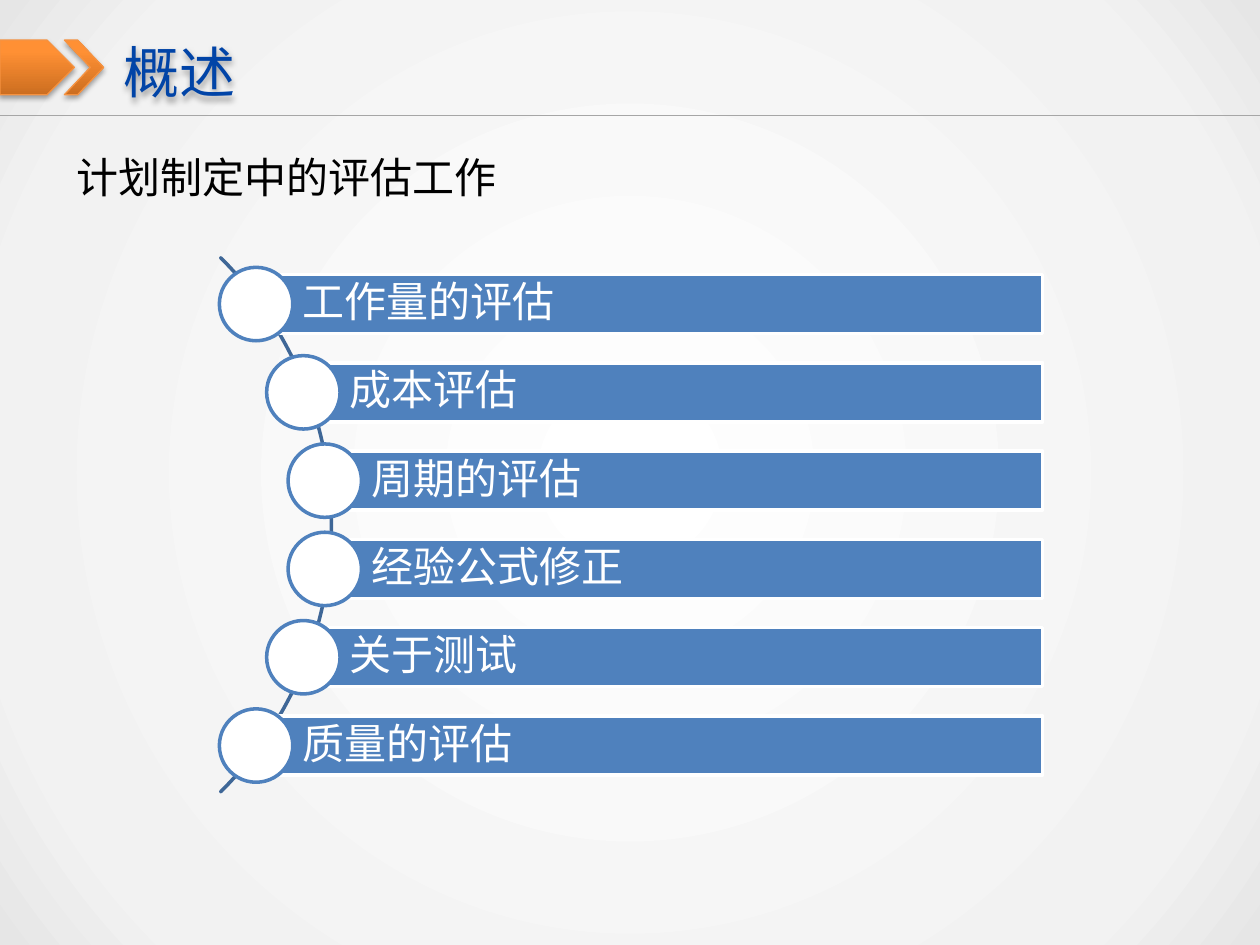
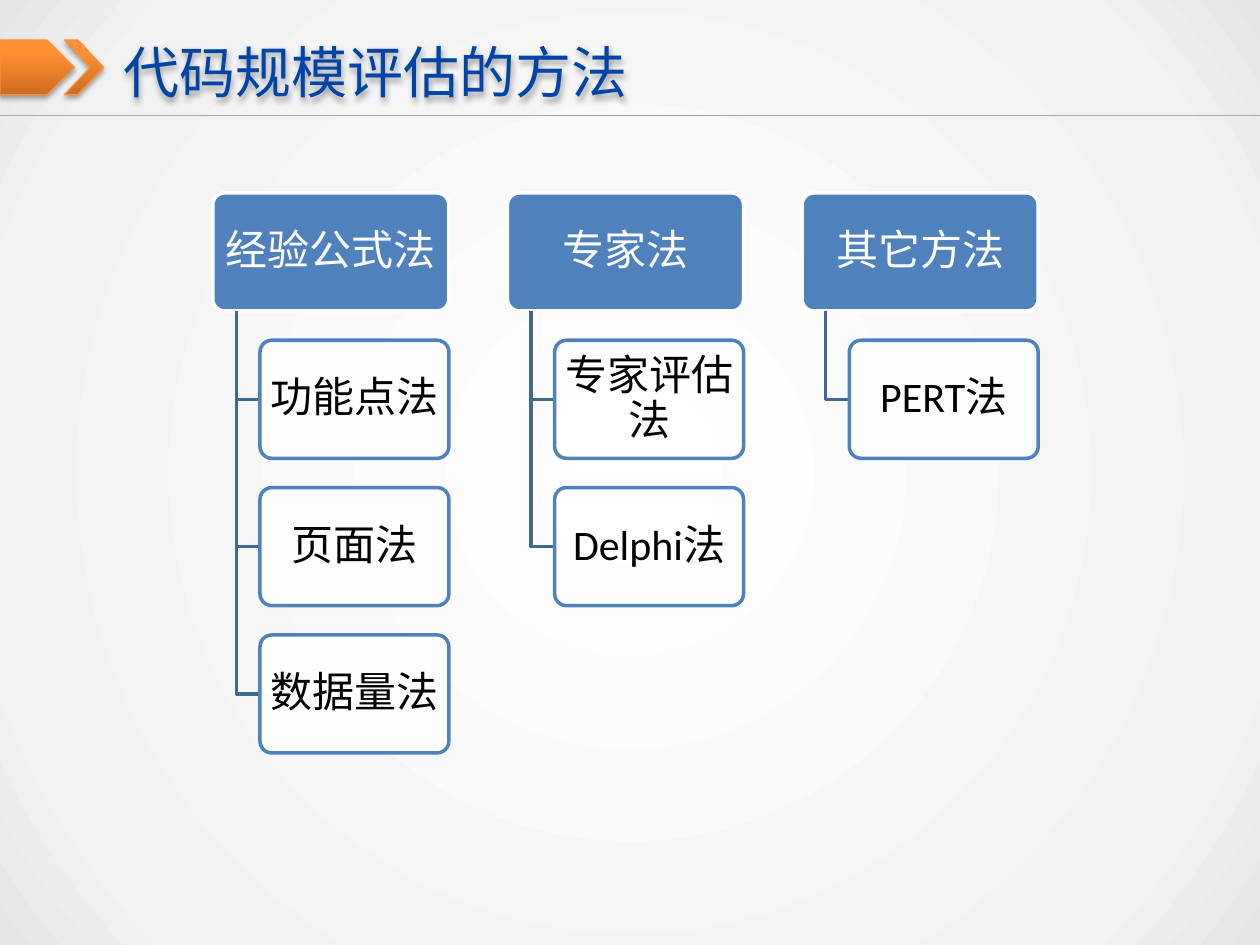
from dataclasses import dataclass
from math import sqrt

from pptx import Presentation
from pptx.dml.color import RGBColor as Rgb
from pptx.enum.shapes import MSO_CONNECTOR as Conn, MSO_SHAPE as Kind
from pptx.enum.text import MSO_ANCHOR as Anchor, PP_ALIGN as Align
from pptx.oxml import parse_xml
from pptx.oxml.ns import nsdecls, qn
from pptx.util import Cm, Pt

# Content
TASKS = {
    "title": "概述",
    "lead": "计划制定中的评估工作",
    "items": ["工作量的评估", "成本评估", "周期的评估",
              "经验公式修正", "关于测试", "质量的评估"],
}
METHODS = {
    "title": "代码规模评估的方法",
    "groups": [
        ("经验公式法", ["功能点法", "页面法", "数据量法"]),
        ("专家法", ["专家评估法", "Delphi法"]),
        ("其它方法", ["PERT法"]),
    ],
}


@dataclass(frozen=True)
class Theme:
    title: str = "0144A7"
    blue: str = "4F81BD"
    deep: str = "3F6797"
    orange: str = "F69240"
    rule: str = "A6A6A6"
    white: str = "FFFFFF"
    black: str = "000000"
    band: tuple = ((0, "CC6E20"), (80, "FF9034"), (100, "FF9136"))
    back: tuple = ((0, "FFFFFF"), (82, "F2F2F2"), (100, "E6E6E6"))
    han: str = "Noto Sans CJK SC"
    latin: str = "Calibri"
    big: int = 32
    body: int = 24
    thin: float = 0.75
    thick: float = 2


T = Theme()
UP = '<a:lin ang="16200000" scaled="0"/>'
ROUND = ('<a:path path="circle"><a:fillToRect l="50000" t="50000" '
         'r="50000" b="50000"/></a:path>')


# Helpers
def blend(host, stops, way):
    """Swap the solid fill inside host for a gradient."""
    marks = "".join(f'<a:gs pos="{pos * 1000}"><a:srgbClr val="{tint}"/></a:gs>'
                    for pos, tint in stops)
    host.replace(host.find(qn("a:solidFill")), parse_xml(
        f'<a:gradFill {nsdecls("a")} rotWithShape="1">'
        f'<a:gsLst>{marks}</a:gsLst>{way}</a:gradFill>'))


def shade(shape):
    """Give the shape a soft shadow straight below it."""
    shape.shadow.inherit = False
    shape._element.spPr.find(qn("a:effectLst")).append(parse_xml(
        f'<a:outerShdw {nsdecls("a")} blurRad="{Pt(3.1)}" dist="{Pt(1.8)}" '
        'dir="5400000" rotWithShape="0"><a:srgbClr val="000000">'
        '<a:alpha val="35000"/></a:srgbClr></a:outerShdw>'))


def style(shape, fill, line, width=T.thick):
    shape.shadow.inherit = False
    if fill:
        shape.fill.solid()
        shape.fill.fore_color.rgb = Rgb.from_string(fill)
    else:
        shape.fill.background()
    shape.line.color.rgb = Rgb.from_string(line)
    shape.line.width = Pt(width)
    return shape


def draw(slide, kind, x, y, w, h, fill, line, width=T.thick, adj=()):
    shape = slide.shapes.add_shape(kind, Cm(x), Cm(y), Cm(w), Cm(h))
    for i, value in enumerate(adj):
        shape.adjustments[i] = value
    return style(shape, fill, line, width)


def write(shape, text, size=T.body, color=T.black, font=T.han,
          align=Align.LEFT, anchor=Anchor.MIDDLE, pad=None, lead=None):
    """Set text; pad is left, top, right, bottom in centimetres."""
    frame = shape.text_frame
    frame.word_wrap = True
    frame.vertical_anchor = anchor
    if pad:
        (frame.margin_left, frame.margin_top,
         frame.margin_right, frame.margin_bottom) = map(Cm, pad)
    para = frame.paragraphs[0]
    para.alignment = align
    if lead:
        para.line_spacing = lead
    run = para.add_run()
    run.text = text
    run.font.size = Pt(size)
    run.font.name = font
    run.font.color.rgb = Rgb.from_string(color)
    run.font._element.find(qn("a:latin")).addnext(parse_xml(
        f'<a:ea {nsdecls("a")} typeface="{T.han}"/>'))


def area(slide, x, y, w, h):
    return slide.shapes.add_textbox(Cm(x), Cm(y), Cm(w), Cm(h))


# Shared page: title, arrow band and rule
def page(deck, title):
    slide = deck.slides.add_slide(deck.slide_layouts[6])
    head = area(slide, 2.49, 0.53, 22.4, 1.8)
    write(head, title, size=T.big, color=T.title, pad=(0, 0.13, 0, 0.13))
    shade(head)
    for kind, x, w, adj in ((Kind.PENTAGON, 0, 1.5, ()),
                            (Kind.CHEVRON, 1.3, 0.79, (0.66,))):
        mark = draw(slide, kind, x, 0.81, w, 1.1, T.orange, T.orange,
                    T.thin, adj)
        blend(mark._element.spPr, T.band, UP)
        shade(mark)
    rule = slide.shapes.add_connector(Conn.STRAIGHT, 0, Cm(2.33),
                                      deck.slide_width, Cm(2.33))
    rule.line.color.rgb = Rgb.from_string(T.rule)
    rule.line.width = Pt(T.thin)
    rule._element.spPr.append(parse_xml(f'<a:effectLst {nsdecls("a")}/>'))
    return slide


# Slide 1: bars strung along an arc
def tasks(deck):
    slide = page(deck, TASKS["title"])
    write(area(slide, 1.3, 2.92, 23.19, 1.27), TASKS["lead"],
          anchor=Anchor.TOP)
    mid_x, mid_y, radius = -0.93, 10.58, 7.61
    step, tall, dot, end, inset = 1.78, 1.19, 1.48, 21.02, 0.08
    draw(slide, Kind.BLOCK_ARC, mid_x - radius, mid_y - radius,
         2 * radius, 2 * radius, None, T.deep, adj=(189, 27, 0))
    items = TASKS["items"]
    for i, item in enumerate(items):
        drop = (i - (len(items) - 1) / 2) * step
        x = mid_x + sqrt(radius ** 2 - drop ** 2) - inset
        y = mid_y + drop
        bar = draw(slide, Kind.RECTANGLE, x, y - tall / 2, end - x, tall,
                   T.blue, T.white)
        write(bar, item, color=T.white, lead=0.9,
              pad=(0.94, 0.18, 0.18, 0.18))
        draw(slide, Kind.OVAL, x - dot / 2, y - dot / 2, dot, dot,
             T.white, T.blue)


# Slide 2: three trees of methods
def card(slide, text, x, y, w, h, fill, line, color):
    shape = draw(slide, Kind.ROUNDED_RECTANGLE, x, y, w, h, fill, line,
                 adj=(0.1,))
    write(shape, text, color=color, font=T.latin, align=Align.CENTER,
          pad=(0.13, 0.08, 0.13, 0.08), lead=0.9)
    return shape


def methods(deck):
    slide = page(deck, METHODS["title"])
    left, top, wide, tall = 4.29, 3.89, 4.76, 2.38
    across, down = 5.94, 2.97
    for col, (name, leaves) in enumerate(METHODS["groups"]):
        x = left + col * across
        card(slide, name, x, top, wide, tall, T.blue, T.white, T.white)
        trunk, branch = x + wide * 0.1, x + wide * 0.2
        for row, leaf in enumerate(leaves, 1):
            y = top + row * down
            mid = Cm(y + tall / 2)
            path = slide.shapes.build_freeform(Cm(trunk), Cm(top + tall))
            path.add_line_segments([(Cm(trunk), mid), (Cm(branch), mid)],
                                   close=False)
            style(path.convert_to_shape(), None, T.deep)
            box = card(slide, leaf, branch, y, wide * 0.8, tall,
                       T.white, T.blue, T.black)
            tint = box._element.spPr.find(qn("a:solidFill"))[0]
            tint.append(parse_xml(f'<a:alpha {nsdecls("a")} val="90000"/>'))


def main():
    deck = Presentation()
    deck.slide_width, deck.slide_height = Cm(25.4), Cm(19.05)
    master = deck.slide_master
    master.background.fill.solid()
    master.background.fill.fore_color.rgb = Rgb.from_string(T.white)
    blend(master._element.xpath(".//p:bgPr")[0], T.back, ROUND)
    tasks(deck)
    methods(deck)
    deck.save("out.pptx")


if __name__ == "__main__":
    main()
